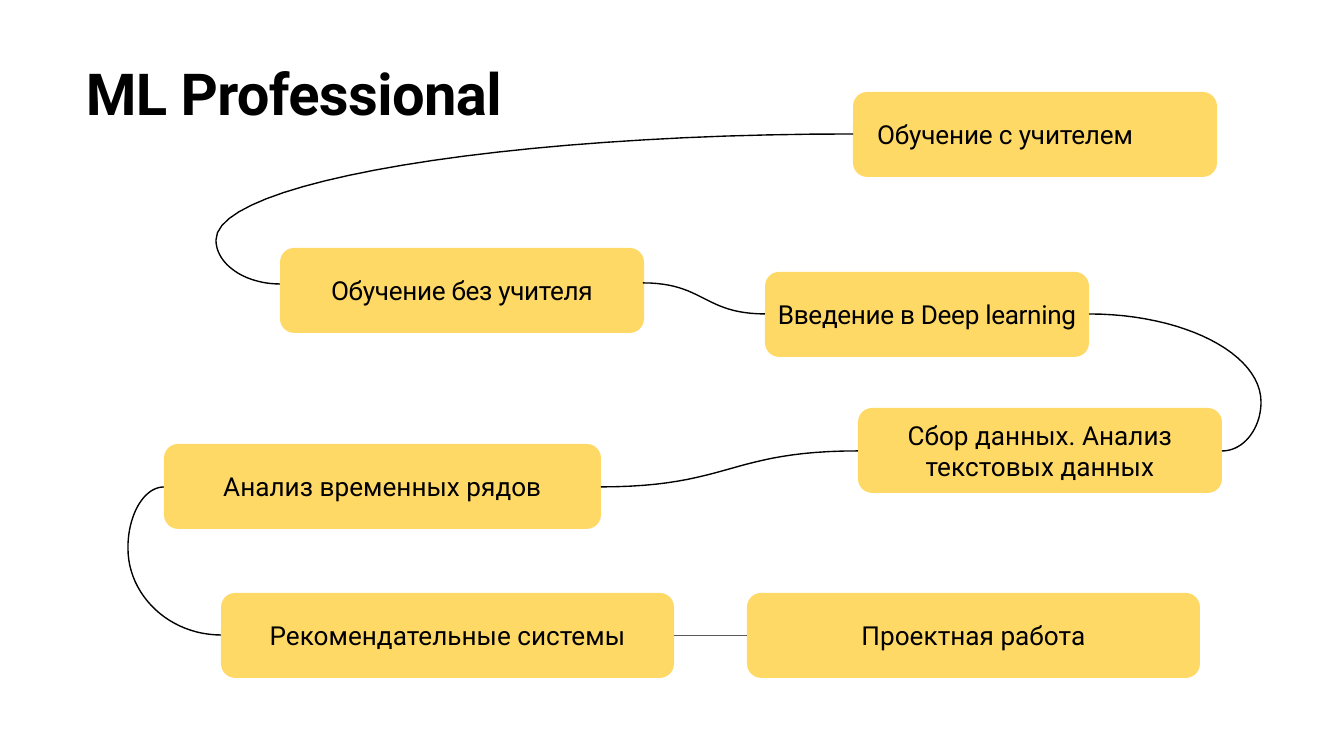
"""Build the ML Professional course roadmap slide."""
from lxml import etree
from pptx import Presentation
from pptx.dml.color import RGBColor
from pptx.enum.shapes import MSO_CONNECTOR, MSO_SHAPE
from pptx.enum.text import MSO_ANCHOR, MSO_AUTO_SIZE, PP_ALIGN
from pptx.oxml.ns import qn
from pptx.util import Pt

PX = 914400 / 134.4
STEP_HEIGHT = 85
CURVE_PARTS = 24
ROUNDNESS = 0.55
BLACK, YELLOW, GREY = "000000", "FFD966", "595959"

TITLE = ("ML Professional", (85, 56, 915, 73))

# left, top, width, letter spacing in hundredths of a point, left inset
STEPS = [
    ("Обучение с учителем", 853, 92, 364, -10, 20),
    ("Обучение без учителя", 280, 248, 364, -20, 0),
    ("Введение в Deep learning", 765, 272, 324, -20, 0),
    ("Сбор данных. Анализ текстовых данных", 858, 408, 364, 0, 0),
    ("Анализ временных рядов", 164, 444, 437, 0, 0),
    ("Рекомендательные системы", 221, 593, 453, 0, 0),
    ("Проектная работа", 747, 593, 453, 0, 0),
]
WAVES = [((643, 283), (765, 314)), ((858, 451), (601, 487))]
LOOPS = [
    ((853, 134), (216, 240), (280, 284)),
    ((1089, 314), (1261, 402), (1222, 451)),
    ((164, 487), (128, 548), (221, 635)),
]


def px(*lengths):
    return [round(length * PX) for length in lengths]


def rgb(color):
    return RGBColor.from_string(color)


def write(frame, words, size, spacing, bold=False, align=PP_ALIGN.CENTER, insets=(0, 0, 0, 0)):
    frame.word_wrap = True
    frame.auto_size = MSO_AUTO_SIZE.NONE
    frame.margin_left, frame.margin_top, frame.margin_right, frame.margin_bottom = px(*insets)
    line = frame.paragraphs[0]
    line.alignment = align
    line.line_spacing = 1.0
    run = line.add_run()
    run.text = words
    if spacing:
        run._r.get_or_add_rPr().set("spc", str(spacing))
    line.font.name, line.font.size, line.font.bold = "Roboto", Pt(size), bold
    line.font.color.rgb = rgb(BLACK)


def add_step(shapes, words, left, top, width, spacing, inset):
    step = shapes.add_shape(MSO_SHAPE.ROUNDED_RECTANGLE, *px(left, top, width, STEP_HEIGHT))
    step.shadow.inherit = False
    step.fill.solid()
    step.fill.fore_color.rgb = rgb(YELLOW)
    step.line.fill.background()
    step.text_frame.vertical_anchor = MSO_ANCHOR.MIDDLE
    align = PP_ALIGN.LEFT if inset else PP_ALIGN.CENTER
    write(step.text_frame, words, 14, spacing, align=align, insets=(inset, 0, inset, 0))
    return step


def bezier(*controls):
    points = []
    for part in range(CURVE_PARTS + 1):
        t = part / CURVE_PARTS
        weights = ((1 - t) ** 3, 3 * t * (1 - t) ** 2, 3 * t * t * (1 - t), t ** 3)
        points.append(tuple(sum(w * c[axis] for w, c in zip(weights, controls)) for axis in (0, 1)))
    return points


def wave(start, end):
    middle = (start[0] + end[0]) / 2
    return bezier(start, (middle, start[1]), (middle, end[1]), end)


def quarter(end, bend):
    across, down = ((b - e) * ROUNDNESS for e, b in zip(end, bend))
    return bezier(end, (end[0] + across, end[1]), (bend[0], bend[1] - down), bend)


def loop(start, bend, end):
    return quarter(start, bend) + quarter(end, bend)[-2::-1]


def add_curve(shapes, points):
    corners = [px(*point) for point in points]
    builder = shapes.build_freeform(*corners[0])
    builder.add_line_segments(corners[1:], close=False)
    curve = builder.convert_to_shape()
    curve.shadow.inherit = False
    curve.fill.background()
    curve.line.color.rgb = rgb(BLACK)
    curve.line.width = Pt(0.75)


def join(shapes, before, after):
    link = shapes.add_connector(MSO_CONNECTOR.STRAIGHT, 0, 0, 0, 0)
    link.begin_connect(before, 3)
    link.end_connect(after, 1)
    link.line.color.rgb = rgb(GREY)
    link.line.width = Pt(0.75)
    etree.SubElement(link._element.spPr, qn("a:effectLst"))


def main():
    deck = Presentation()
    deck.slide_width, deck.slide_height = px(1344, 756)
    slide = deck.slides.add_slide(deck.slide_layouts[5])
    shapes = slide.shapes

    heading = shapes.title
    words, place = TITLE
    heading.left, heading.top, heading.width, heading.height = px(*place)
    heading.text_frame.vertical_anchor = MSO_ANCHOR.TOP
    write(heading.text_frame, words, 31, -30, bold=True, align=PP_ALIGN.LEFT, insets=(1, 2, 0, 0))

    steps = [add_step(shapes, *step) for step in STEPS]
    for points in [wave(*ends) for ends in WAVES] + [loop(*stops) for stops in LOOPS]:
        add_curve(shapes, points)
    join(shapes, *steps[-2:])
    deck.save("out.pptx")


if __name__ == "__main__":
    main()
